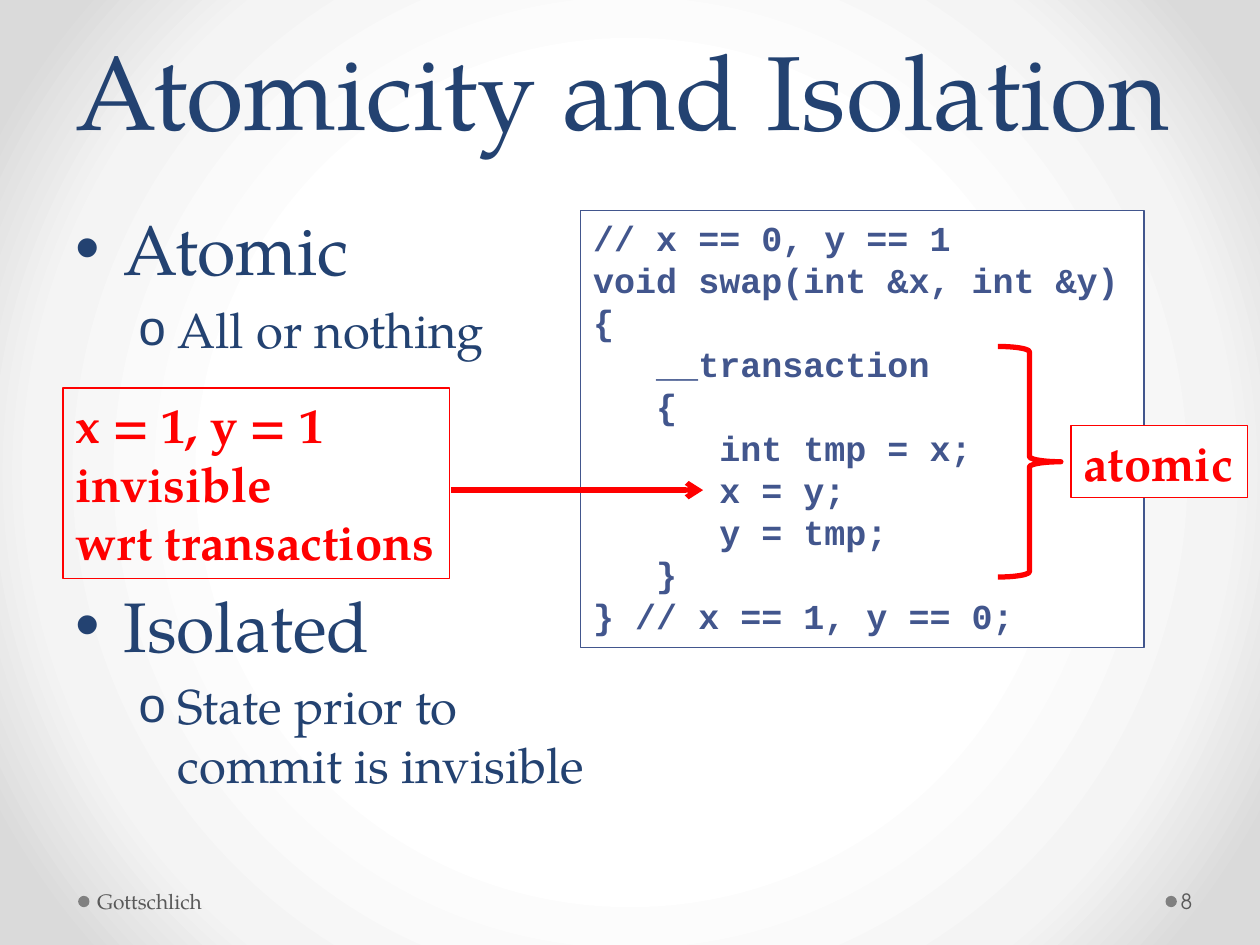
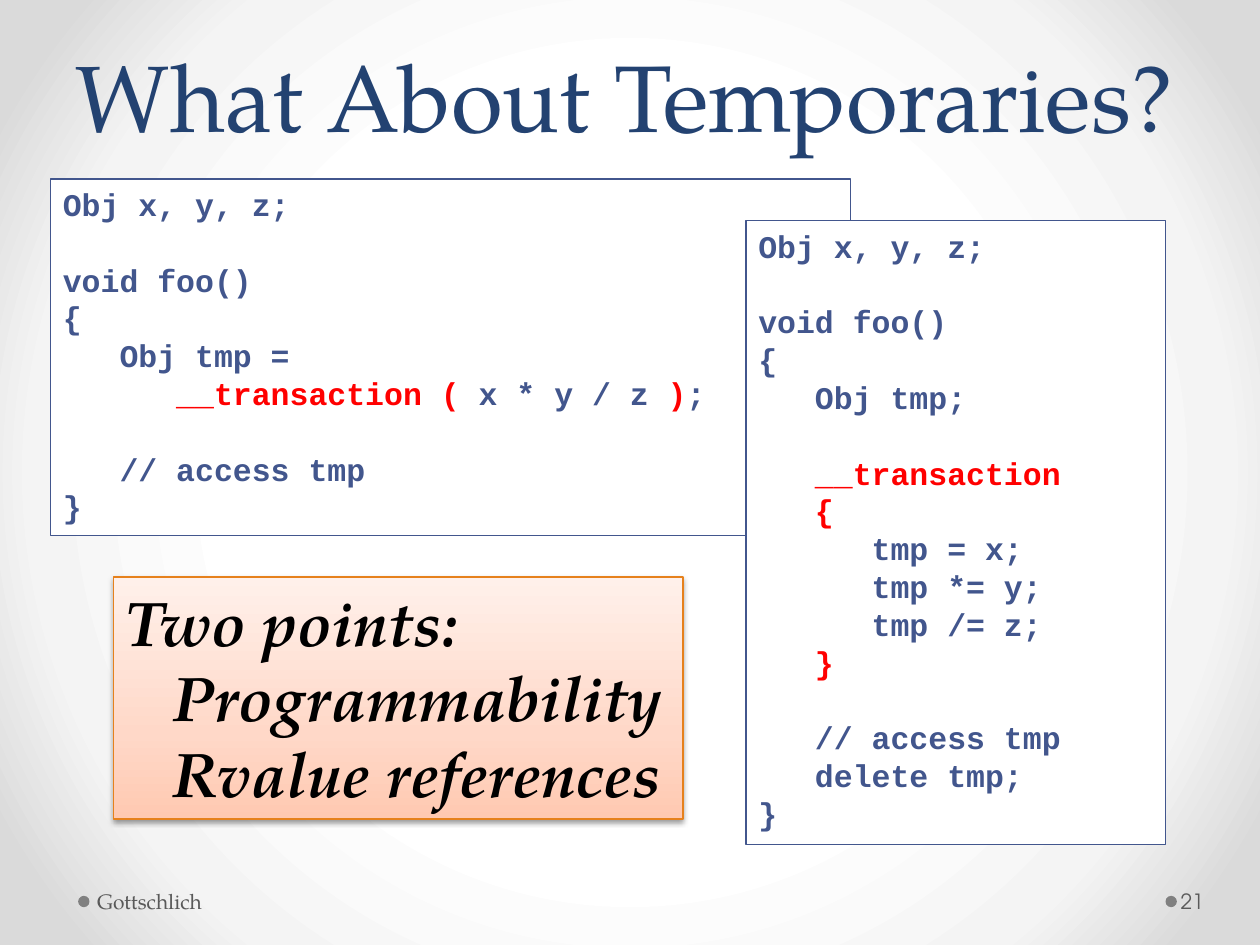
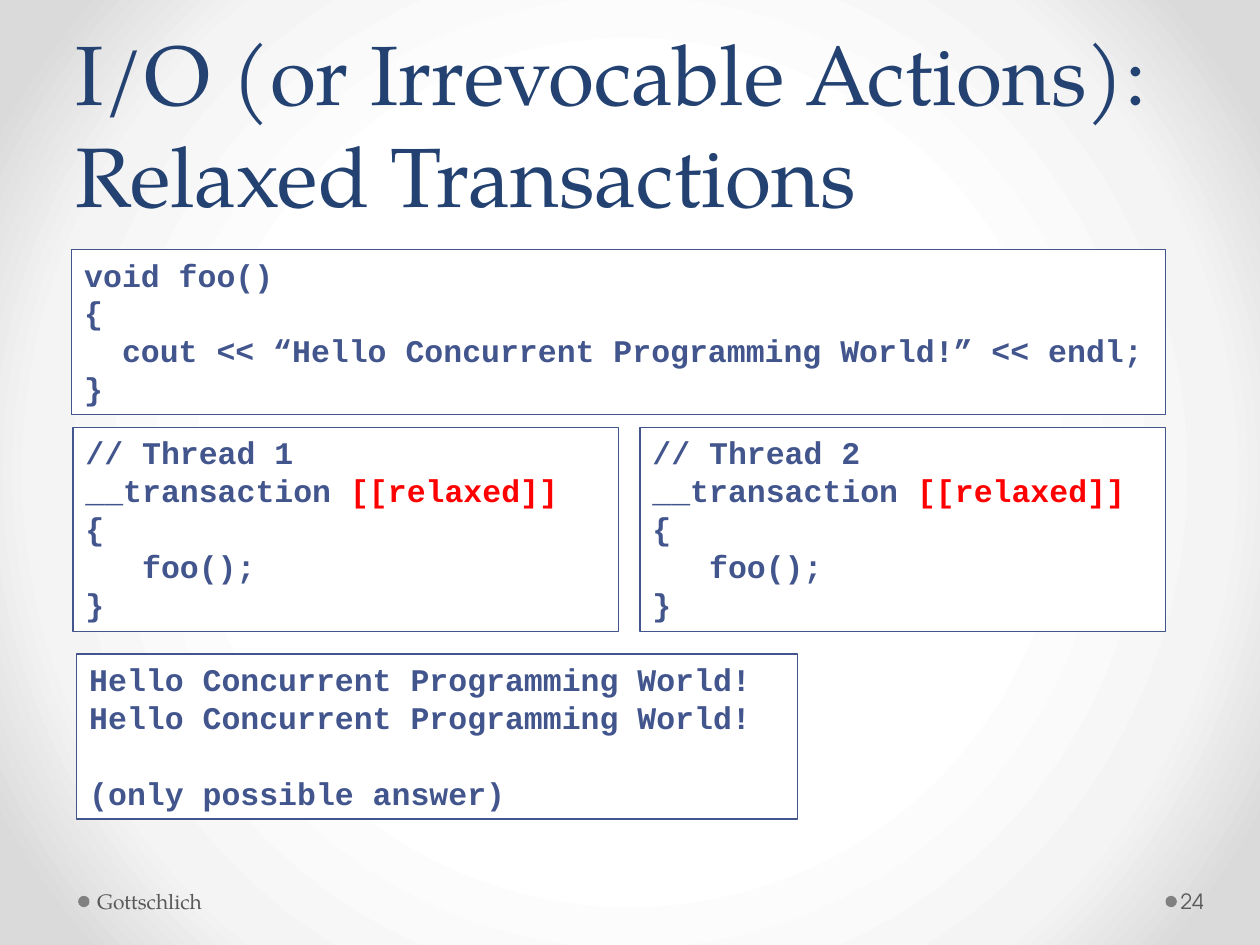
from lxml import etree
from pptx import Presentation
from pptx import util as u
from pptx.dml.color import RGBColor
from pptx.enum import shapes, text
from pptx.oxml.ns import qn
from pptx.text.text import Font

NAVY, CODE_BLUE, RED = "234271", "42568D", "FF0000"
WHITE, BLACK, GRAY, DOT_GRAY, ORANGE = "FFFFFF", "000000", "595959", "808080", "E6811C"
SERIF, SANS, MONO = "TeX Gyre Pagella", "TeX Gyre Adventor", "Courier New"
BACKGROUND_STOPS = [(50, WHITE), (76, "F4F4F4"), (92, "DADADA")]
CALLOUT_STOPS = [(0, "FFC9B1"), (35, "FFD8C8"), (100, "FFF0EA")]
RED_LABEL = {"name": SERIF, "size": 28, "color": RED, "bold": True}

SWAP_CODE = """// x == 0, y == 1
void swap(int &x, int &y)
{
   __transaction
   {
      int tmp = x;
      x = y;
      y = tmp;
   }
} // x == 1, y == 0;"""

# Text between a pair of bars is highlighted in red.
EXPRESSION_CODE = """Obj x, y, z;

void foo()
{
   Obj tmp =
      |__transaction ( |x * y / z |)|;

   // access tmp
}"""

BLOCK_CODE = """Obj x, y, z;

void foo()
{
   Obj tmp;

|   __transaction|
|   {|
      tmp = x;
      tmp *= y;
      tmp /= z;
|   }|

   // access tmp
   delete tmp;
}"""

HELLO_CODE = """void foo()
{
  cout << “Hello Concurrent Programming World!” << endl;
}"""

THREAD_CODE = """// Thread {}
__transaction |[[relaxed]]|
{{
   foo();
}}"""

HELLO_OUTPUT = """Hello Concurrent Programming World!
Hello Concurrent Programming World!

(only possible answer)"""


def rgb(color):
    return RGBColor.from_string(color)


def inches(*lengths):
    return [u.Inches(length) for length in lengths]


def add_element(parent, tag, **attributes):
    element = etree.SubElement(parent, qn(tag))
    for name, value in attributes.items():
        element.set(name, str(value))
    return element


def set_gradient(fill, owner, stops):
    """Give the fill these stops and return its element, still without a direction."""
    fill.gradient()
    gradient = next(owner.iter(qn("a:gradFill")))
    for child in list(gradient):
        gradient.remove(child)
    stop_list = add_element(gradient, "a:gsLst")
    for position, color in stops:
        stop = add_element(stop_list, "a:gs", pos=position * 1000)
        add_element(stop, "a:srgbClr", val=color)
    return gradient


def set_background(master):
    gradient = set_gradient(master.background.fill, master.element, BACKGROUND_STOPS)
    direction = add_element(gradient, "a:path", path="circle")
    add_element(direction, "a:fillToRect", l=50000, t=50000, r=50000, b=50000)


def format_font(font, style):
    for name, value in style.items():
        if name == "color":
            font.color.rgb = rgb(value)
        else:
            setattr(font, name, u.Pt(value) if name == "size" else value)


def format_frame(frame, **settings):
    defaults = {"word_wrap": True, "auto_size": text.MSO_AUTO_SIZE.NONE,
                "vertical_anchor": text.MSO_ANCHOR.TOP}
    for name, value in {**defaults, **settings}.items():
        setattr(frame, name, value)


def write_lines(frame, lines, style):
    """Write one left-aligned paragraph per line, with barred parts in red."""
    for index, line in enumerate(lines):
        paragraph = frame.add_paragraph() if index else frame.paragraphs[0]
        paragraph.alignment = text.PP_ALIGN.LEFT
        for part_index, part in enumerate(line.split("|")):
            if part:
                run = paragraph.add_run()
                run.text = part
                format_font(run.font, {**style, "color": RED} if part_index % 2 else style)
        if not line:
            format_font(Font(paragraph._p.get_or_add_endParaRPr()), style)


def set_indent(paragraph, left, first=0.0):
    properties = paragraph._p.get_or_add_pPr()
    properties.set("marL", str(u.Inches(left)))
    properties.set("indent", str(u.Inches(first)))
    return properties


def add_preset(slide, preset, box, fill=None, line=None, width=0.75):
    shape = slide.shapes.add_shape(preset, *inches(*box))
    shape.shadow.inherit = False
    if fill:
        shape.fill.solid()
        shape.fill.fore_color.rgb = rgb(fill)
    else:
        shape.fill.background()
    if line:
        shape.line.color.rgb = rgb(line)
        shape.line.width = u.Pt(width)
    else:
        shape.line.fill.background()
    return shape


def add_text_panel(slide, box, lines, style, fill=None, line=CODE_BLUE, wrap=True):
    shape = add_preset(slide, shapes.MSO_SHAPE.RECTANGLE, box, fill, line)
    format_frame(shape.text_frame, word_wrap=wrap)
    write_lines(shape.text_frame, lines, style)
    return shape


def add_code(slide, box, code, size=18):
    style = {"name": MONO, "size": size, "color": CODE_BLUE, "bold": True}
    add_text_panel(slide, box, code.split("\n"), style, fill=WHITE)


def add_footer_text(slide, box, content, font_name, left_inset, right_inset):
    frame = slide.shapes.add_textbox(*inches(*box)).text_frame
    format_frame(frame, vertical_anchor=text.MSO_ANCHOR.MIDDLE,
                 margin_left=u.Inches(left_inset), margin_right=u.Inches(right_inset))
    write_lines(frame, [content], {"name": font_name, "size": 12, "color": GRAY})


def add_slide(presentation, layout_name, title, title_size, number, title_top=0):
    layout = presentation.slide_layouts.get_by_name(layout_name)
    slide = presentation.slides.add_slide(layout)
    place(slide.shapes.title, (0.5, title_top, 9, 1.25))
    frame = slide.shapes.title.text_frame
    format_frame(frame, vertical_anchor=text.MSO_ANCHOR.BOTTOM)
    write_lines(frame, [title], {"name": SERIF, "size": title_size, "color": NAVY})
    frame.paragraphs[0].line_spacing = u.Pt(58)
    for dot_left in (0.62, 9.25):
        add_preset(slide, shapes.MSO_SHAPE.OVAL, (dot_left, 7.11, 0.09, 0.09), DOT_GRAY)
    add_footer_text(slide, (0.72, 6.95, 3.11, 0.4), "Gottschlich", SERIF, 0.05, 0.1)
    add_footer_text(slide, (9.34, 6.95, 0.61, 0.4), str(number), SANS, 0.03, 0.05)
    return slide


def place(shape, box):
    shape.left, shape.top, shape.width, shape.height = inches(*box)


def add_bullets(slide, box, items):
    """Fill the body placeholder from (level, text, points before) items."""
    levels = [(40, 0.38, -0.38, "•"), (28, 0.81, -0.31, "o")]
    body = slide.placeholders[1]
    place(body, box)
    format_frame(body.text_frame)
    for index, (level, content, space) in enumerate(items):
        size, left, first, bullet = levels[level]
        paragraph = body.text_frame.add_paragraph() if index else body.text_frame.paragraphs[0]
        paragraph.level = level
        paragraph.space_before = u.Pt(space)
        add_element(set_indent(paragraph, left, first), "a:buChar", char=bullet)
        run = paragraph.add_run()
        run.text = content
        format_font(run.font, {"name": SERIF, "size": size, "color": NAVY})


def add_arrow(slide, start, end):
    connector = slide.shapes.add_connector(
        shapes.MSO_CONNECTOR.STRAIGHT, *inches(*start, *end))
    connector.line.color.rgb = rgb(RED)
    connector.line.width = u.Pt(3)
    add_element(connector.line._get_or_add_ln(), "a:tailEnd", type="arrow")
    add_element(connector._element.spPr, "a:effectLst")


def add_callout(slide, box, heading, points):
    style = {"name": SERIF, "size": 36, "color": BLACK, "bold": True, "italic": True}
    shape = add_text_panel(slide, box, [heading, *points], style, line=ORANGE)
    for paragraph in shape.text_frame.paragraphs[1:]:
        set_indent(paragraph, 0.37)
    properties = shape._element.spPr
    gradient = set_gradient(shape.fill, properties, CALLOUT_STOPS)
    add_element(gradient, "a:lin", ang=270 * 60000, scaled=0)
    shadow = add_element(properties.find(qn("a:effectLst")), "a:outerShdw",
                         blurRad=u.Pt(3.1), dist=u.Pt(1.6), dir=90 * 60000, rotWithShape=0)
    add_element(add_element(shadow, "a:srgbClr", val=BLACK), "a:alpha", val=38000)


def build_atomicity(presentation):
    slide = add_slide(presentation, "Title and Content", "Atomicity and Isolation", 60, 8)
    add_bullets(slide, (0.5, 1.58, 4.36, 5.37), [
        (0, "Atomic", 0),
        (1, "All or nothing", 5.6),
        (0, "Isolated", 128),
        (1, "State prior to commit is invisible", 5.6),
    ])
    add_code(slide, (4.61, 1.67, 4.47, 3.47), SWAP_CODE, size=20)
    add_arrow(slide, (3.58, 3.89), (5.58, 3.89))
    add_text_panel(slide, (0.5, 3.08, 3.07, 1.51),
                   ["x = 1, y = 1", "invisible", "wrt transactions"],
                   RED_LABEL, line=RED, wrap=False)
    add_text_panel(slide, (8.5, 3.38, 1.4, 0.57), ["atomic"],
                   RED_LABEL, fill=WHITE, line=RED, wrap=False)
    add_preset(slide, shapes.MSO_SHAPE.RIGHT_BRACE, (7.92, 2.75, 0.5, 1.83),
               line=RED, width=3)


def build_temporaries(presentation):
    slide = add_slide(presentation, "Title Only", "What About Temporaries?", 54, 21)
    add_callout(slide, (0.9, 4.58, 4.52, 1.92), "Two points:",
                ["Programmability", "Rvalue references"])
    add_code(slide, (0.4, 1.42, 6.35, 2.83), EXPRESSION_CODE)
    add_code(slide, (5.92, 1.75, 3.33, 4.95), BLOCK_CODE)


def build_relaxed(presentation):
    slide = add_slide(presentation, "Title Only",
                      "I/O (or Irrevocable Actions): Relaxed Transactions", 48, 24,
                      title_top=0.58)
    add_code(slide, (0.57, 1.98, 8.68, 1.31), HELLO_CODE)
    for thread, (left, width) in enumerate([(0.58, 4.33), (5.08, 4.17)], start=1):
        add_code(slide, (left, 3.39, width, 1.62), THREAD_CODE.format(thread))
    add_code(slide, (0.61, 5.19, 5.72, 1.31), HELLO_OUTPUT)


def main():
    presentation = Presentation()
    presentation.slide_width, presentation.slide_height = inches(10, 7.5)
    set_background(presentation.slide_master)
    build_atomicity(presentation)
    build_temporaries(presentation)
    build_relaxed(presentation)
    presentation.save("out.pptx")


if __name__ == "__main__":
    main()
